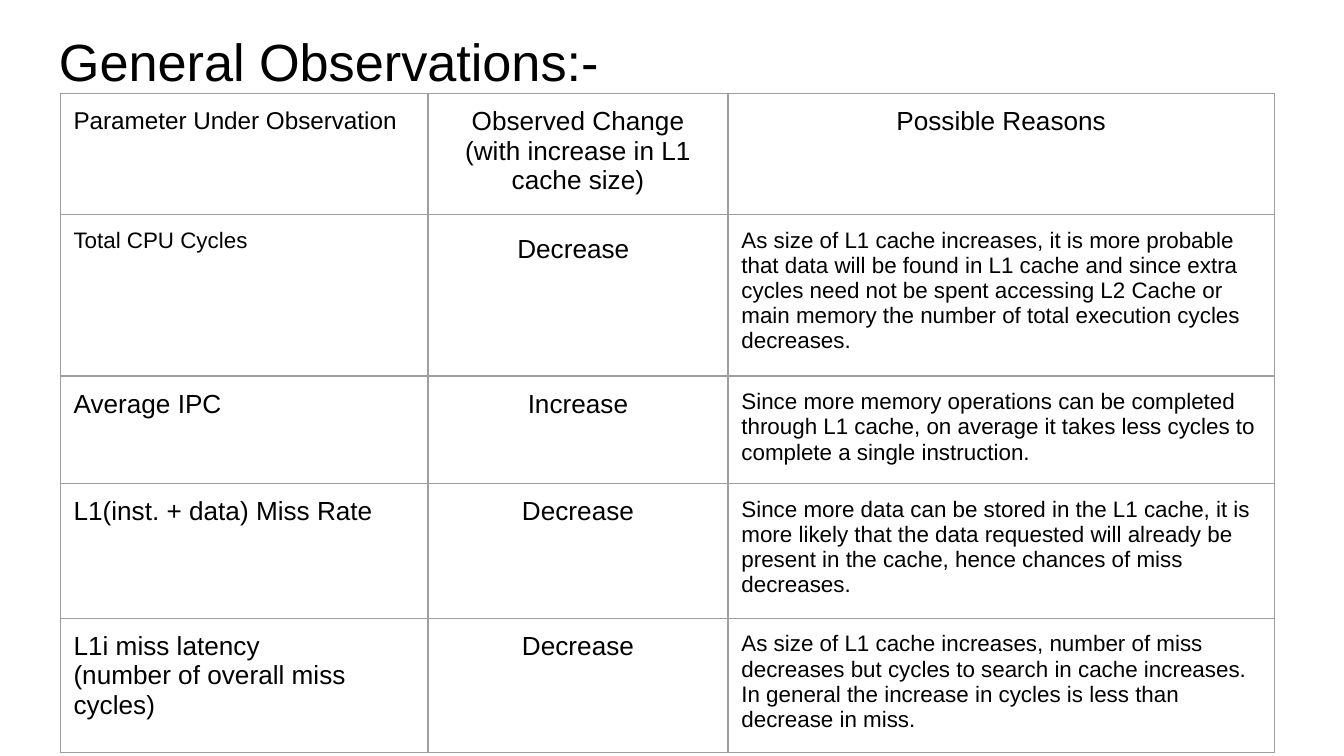
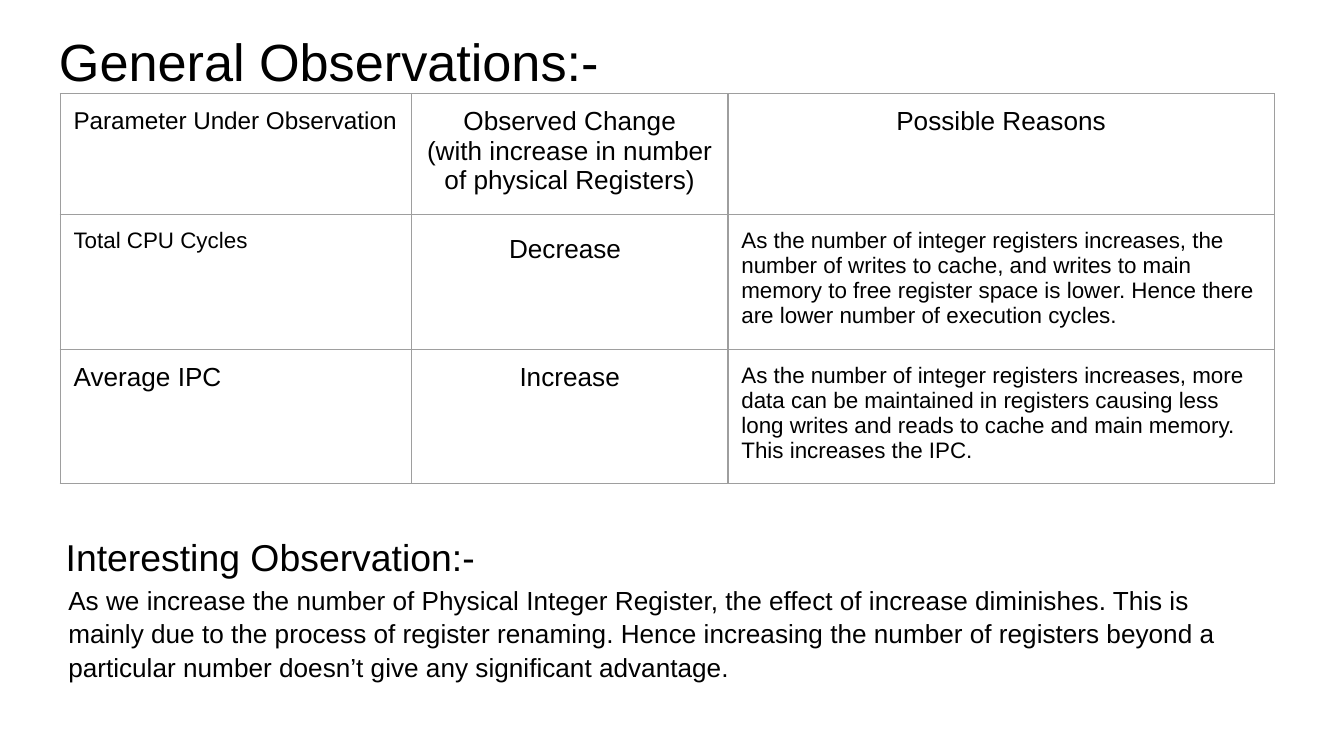
from lxml import etree
from pptx import Presentation
from pptx.dml.color import RGBColor
from pptx.enum import text
from pptx.oxml import ns
from pptx.util import Pt

COLORS = {"ink": "000000", "border": "9E9E9E"}
FONT = "Arial"
INSET = Pt(7.2)
TITLE = "General Observations:-"
ROW_HEIGHT = 30.2
REASON_WIDTH = 292.8

CACHE_ROWS = [
    (("Total CPU Cycles", 12), "Decrease",
     "As size of L1 cache increases, it is more probable that data will be found in "
     "L1 cache and since extra cycles need not be spent accessing L2 Cache or main "
     "memory the number of total execution cycles decreases."),
    (("Average IPC", 14), "Increase",
     "Since more memory operations can be completed through L1 cache, on average it "
     "takes less cycles to complete a single instruction."),
    (("L1(inst. + data) Miss Rate", 14), "Decrease",
     "Since more data can be stored in the L1 cache, it is more likely that the data "
     "requested will already be present in the cache, hence chances of miss decreases."),
    (("L1i miss latency\n(number of overall miss cycles)", 14), "Decrease",
     "As size of L1 cache increases, number of miss decreases but cycles to search in "
     "cache increases. In general the increase in cycles is less than decrease in miss."),
]
REGISTER_ROWS = [
    (("Total CPU Cycles", 12), "Decrease",
     "As the number of integer registers increases, the number of writes to cache, and "
     "writes to main memory to free register space is lower. Hence there are lower "
     "number of execution cycles."),
    (("Average IPC", 14), "Increase",
     "As the number of integer registers increases, more data can be maintained in "
     "registers causing less long writes and reads to cache and main memory. This "
     "increases the IPC."),
]
REGISTER_NOTE = (
    "As we increase the number of Physical Integer Register, the effect of increase "
    "diminishes. This is mainly due to the process of register renaming. Hence "
    "increasing the number of registers beyond a particular number doesn’t give any "
    "significant advantage."
)


def write_text(frame, words, size, centered=False, spacing=None):
    frame.text = words
    for para in frame.paragraphs:
        para.font.name = FONT
        para.font.size = Pt(size)
        para.font.color.rgb = RGBColor.from_string(COLORS["ink"])
        para.alignment = text.PP_ALIGN.CENTER if centered else text.PP_ALIGN.LEFT
        if spacing:
            para.line_spacing = spacing


def set_insets(item):
    item.margin_left = item.margin_right = INSET
    item.margin_top = item.margin_bottom = INSET


def add_text(page, words, left, top, width, height, size, spacing):
    box = page.shapes.add_textbox(Pt(left), Pt(top), Pt(width), Pt(height))
    frame = box.text_frame
    frame.word_wrap = True
    set_insets(frame)
    write_text(frame, words, size, spacing=spacing)


def add_title(page, words, left, top, size):
    add_text(page, words, left, top, 671, 45.4, size, 1.1)


def add_borders(cell):
    properties = cell._tc.get_or_add_tcPr()
    for index, side in enumerate(("a:lnL", "a:lnR", "a:lnT", "a:lnB")):
        line = etree.Element(ns.qn(side), w=str(Pt(0.75)))
        fill = etree.SubElement(line, ns.qn("a:solidFill"))
        etree.SubElement(fill, ns.qn("a:srgbClr"), val=COLORS["border"])
        properties.insert(index, line)


def fill_cell(cell, words, size, centered):
    set_insets(cell)
    cell.fill.background()
    add_borders(cell)
    write_text(cell.text_frame, words, size, centered)


def add_observation_table(page, condition, rows, widths):
    header = [("Parameter Under Observation", 13, False),
              (f"Observed Change\n({condition})", 14, True),
              ("Possible Reasons", 14, True)]
    body = [[(*parameter, False), (change, 14, True), (reason, 12, False)]
            for parameter, change, reason in rows]
    grid = [header, *body]
    table = page.shapes.add_table(len(grid), len(widths), Pt(32.2), Pt(50.2),
                                  Pt(sum(widths)), Pt(ROW_HEIGHT * len(grid))).table
    table.first_row = table.horz_banding = False
    for column, width in zip(table.columns, widths):
        column.width = Pt(width)
    for row_index, entries in enumerate(grid):
        for column_index, entry in enumerate(entries):
            fill_cell(table.cell(row_index, column_index), *entry)
    span = table.cell(1, 1).text_frame.paragraphs[0].add_run()
    span.text = " "
    span.font.size = Pt(18)


def add_observation_page(deck, condition, rows, widths):
    page = deck.slides.add_slide(deck.slide_layouts[6])
    add_title(page, TITLE, 24.5, 5, 28)
    add_observation_table(page, condition, rows, [*widths, REASON_WIDTH])
    return page


def main():
    deck = Presentation()
    deck.slide_width, deck.slide_height = Pt(720), Pt(405)
    add_observation_page(deck, "with increase in L1 cache size", CACHE_ROWS, [197.1, 160.7])
    page = add_observation_page(deck, "with increase in number of physical Registers",
                                REGISTER_ROWS, [188.3, 169.5])
    add_title(page, "Interesting Observation:-", 28.1, 276.5, 20)
    add_text(page, REGISTER_NOTE, 29.5, 304.6, 632, 39.6, 14, 1.07)
    deck.save("out.pptx")


if __name__ == "__main__":
    main()
